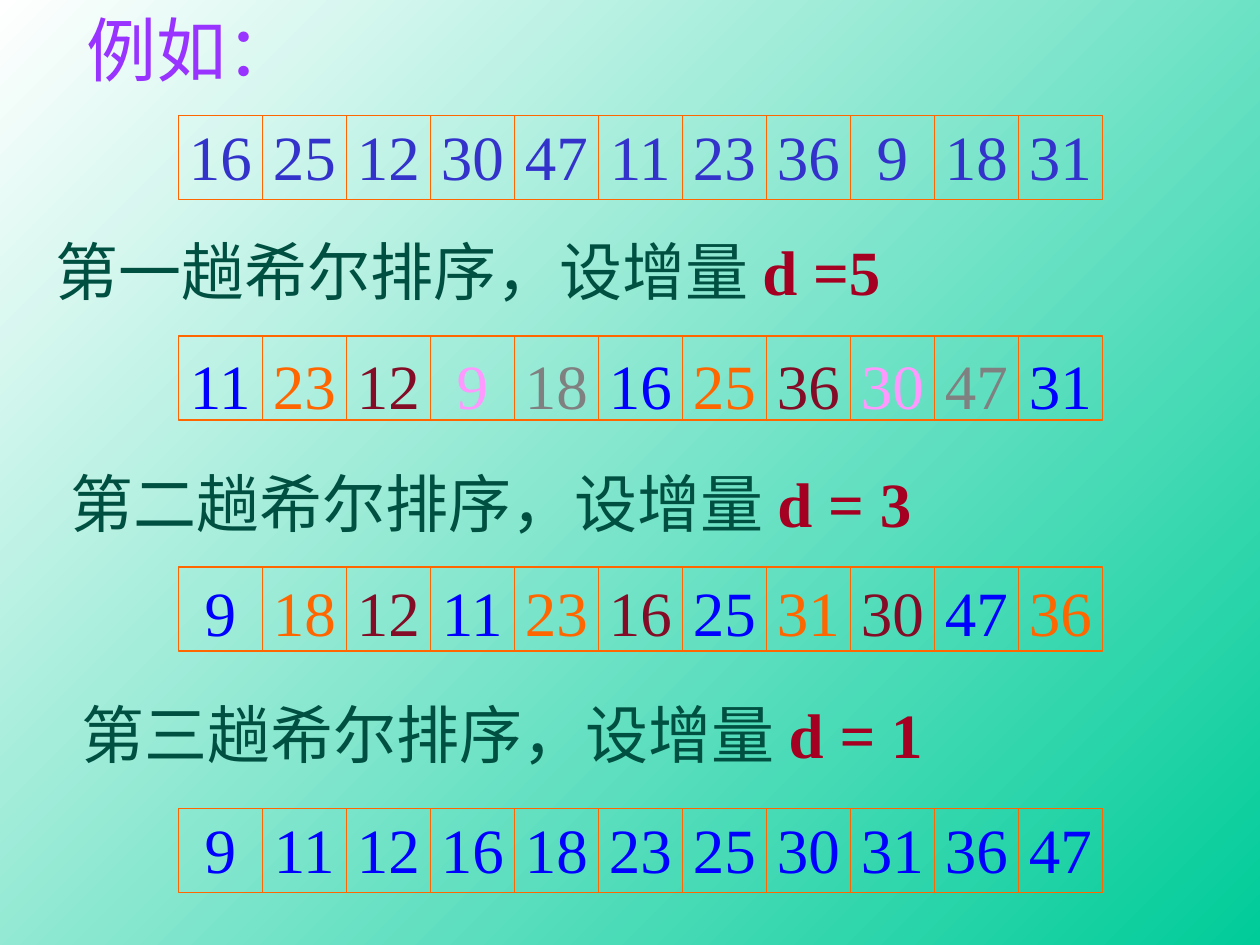
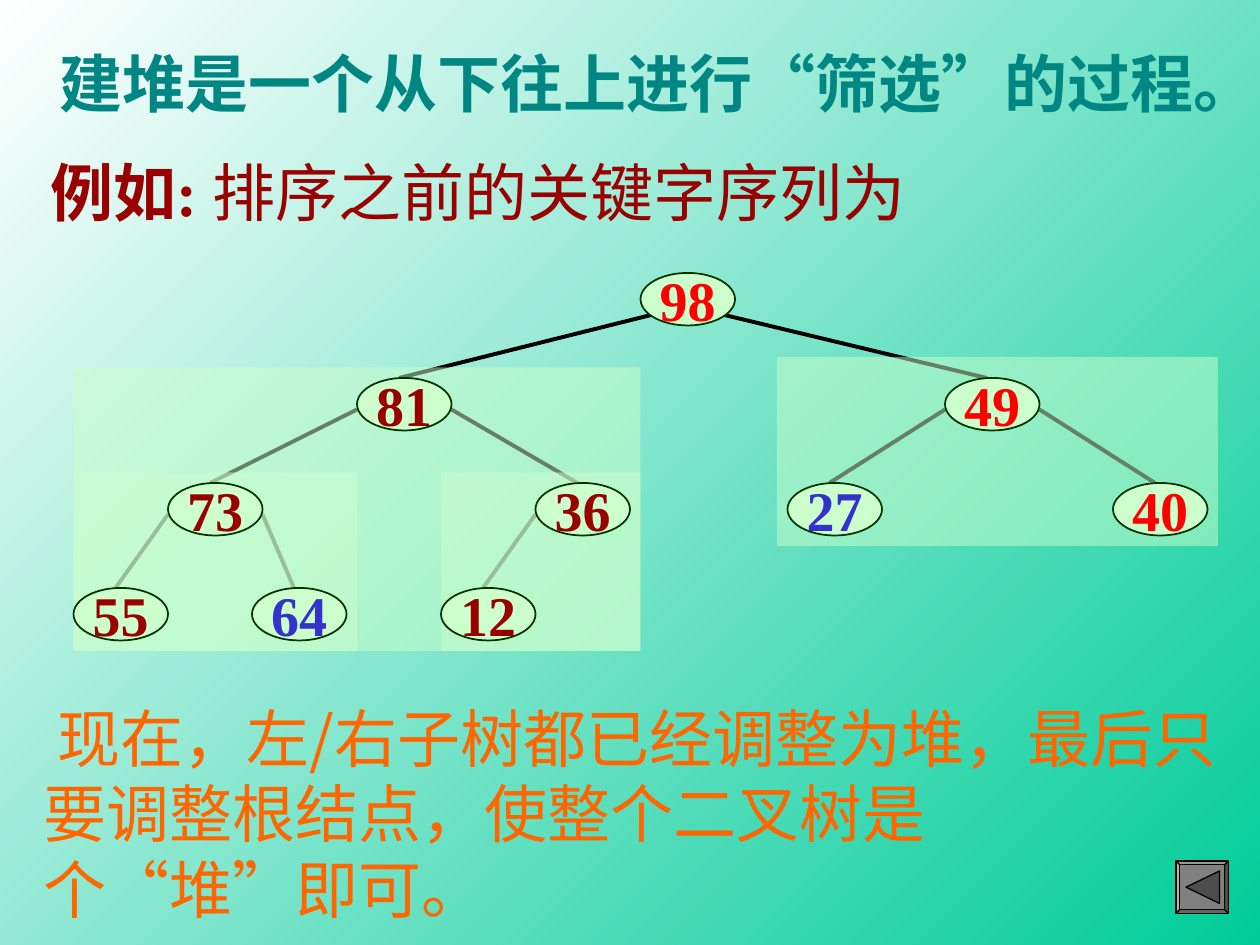
import pptx
import pptx.util
import pptx.dml.color
import pptx.enum.shapes
import pptx.enum.text
import pptx.oxml
import pptx.oxml.ns
import pptx.oxml.xmlchemy

RGBColor = pptx.dml.color.RGBColor
Shape = pptx.enum.shapes.MSO_SHAPE
Anchor = pptx.enum.text.MSO_ANCHOR
Align = pptx.enum.text.PP_ALIGN
Inches = pptx.util.Inches
OxmlElement = pptx.oxml.xmlchemy.OxmlElement
qn = pptx.oxml.ns.qn

WHITE = RGBColor(0xFF, 0xFF, 0xFF)
MINT = RGBColor(0x00, 0xCC, 0x99)
PURPLE = RGBColor(0x99, 0x33, 0xFF)
INDIGO = RGBColor(0x33, 0x33, 0xCC)
BLUE = RGBColor(0x00, 0x00, 0xFF)
ORANGE = RGBColor(0xFF, 0x66, 0x00)
MAROON = RGBColor(0x84, 0x0C, 0x26)
PINK = RGBColor(0xFF, 0x99, 0xFF)
GRAY = RGBColor(0x80, 0x80, 0x80)
DARK_GRAY = RGBColor(0x4D, 0x4D, 0x4D)
PINE = RGBColor(0x00, 0x50, 0x42)
CRIMSON = RGBColor(0xA5, 0x00, 0x21)
TEAL = RGBColor(0x00, 0x87, 0x84)
DARK_RED = RGBColor(0x99, 0x00, 0x00)
RED = RGBColor(0xFF, 0x00, 0x00)
PALE_GREEN = RGBColor(0xCC, 0xFF, 0xCC)
DARK_GREEN = RGBColor(0x00, 0x33, 0x00)
BLACK = RGBColor(0x00, 0x00, 0x00)

LATIN = "Times New Roman"
CHINESE = "Noto Sans CJK SC"
UNIT = 1 / 12

GROUP_COLORS = [BLUE, ORANGE, MAROON, PINK, GRAY]
ROW_LEFT, CELL = 17, 8
ROWS = [
    {"top": 11, "text_top": 0.88, "colors": [INDIGO],
     "keys": [16, 25, 12, 30, 47, 11, 23, 36, 9, 18, 31]},
    {"top": 32, "text_top": 2.7, "colors": GROUP_COLORS,
     "keys": [11, 23, 12, 9, 18, 16, 25, 36, 30, 47, 31]},
    {"top": 54, "text_top": 4.5, "colors": GROUP_COLORS[:3],
     "keys": [9, 18, 12, 11, 23, 16, 25, 31, 30, 47, 36]},
    {"top": 77, "text_top": 6.38, "colors": GROUP_COLORS[:1],
     "keys": [9, 11, 12, 16, 18, 23, 25, 30, 31, 36, 47]},
]
PASSES = [
    ("第一趟希尔排序，设增量 ", "d =5", 0.34, 1.8),
    ("第二趟希尔排序，设增量 ", "d = 3", 0.46, 3.64),
    ("第三趟希尔排序，设增量 ", "d = 1", 0.55, 5.47),
]

NODE_WIDTH, NODE_HEIGHT = 9, 5
NODES = {
    98: (61, 26, RED), 81: (34, 36, DARK_RED), 49: (90, 36, RED),
    73: (16, 46, DARK_RED), 36: (51, 46, DARK_RED),
    27: (75, 46, INDIGO), 40: (106, 46, RED),
    55: (7, 56, DARK_RED), 64: (24, 56, INDIGO), 12: (42, 56, DARK_RED),
}
ROOT = 98
CHILDREN = {98: (81, 49), 81: (73, 36), 49: (27, 40), 73: (55, 64), 36: (12,)}
SUBTREE_PANELS = [(42, 45, 19, 17), (7, 45, 27, 17), (74, 34, 42, 18), (7, 35, 54, 27)]
BACK_BUTTON = (112, 82, 5)


def grid(*values):
    return [Inches(value * UNIT) for value in values]


def add_run(paragraph, text, color, size=36, bold=False, latin=LATIN):
    run = paragraph.add_run()
    run.text = text
    font = run.font
    font.size, font.bold, font.name = pptx.util.Pt(size), bold, latin
    font.color.rgb = color
    east_asian = OxmlElement("a:ea")
    east_asian.set("typeface", CHINESE)
    font._element.find(qn("a:latin")).addnext(east_asian)


def prepare_text(shape, wrap=False, anchor=Anchor.TOP, align=Align.LEFT):
    frame = shape.text_frame
    frame.auto_size = pptx.enum.text.MSO_AUTO_SIZE.NONE
    frame.word_wrap, frame.vertical_anchor = wrap, anchor
    paragraph = frame.paragraphs[0]
    paragraph.alignment = align
    return paragraph


def add_text(slide, left, top, width, height=0.7, wrap=False):
    box = slide.shapes.add_textbox(*map(Inches, (left, top, width, height)))
    return prepare_text(box, wrap)


def add_slide(presentation, title, box, color, size, bold):
    slide = presentation.slides.add_slide(presentation.slide_layouts[5])
    shape = slide.shapes.title
    shape.left, shape.top, shape.width, shape.height = map(Inches, box)
    add_run(prepare_text(shape), title, color, size, bold)
    return slide


def add_line(slide, start, end, color, width):
    line = slide.shapes.add_connector(
        pptx.enum.shapes.MSO_CONNECTOR.STRAIGHT, *grid(*start, *end))
    line.line.color.rgb, line.line.width = color, pptx.util.Pt(width)
    line._element.spPr.append(OxmlElement("a:effectLst"))


def style_shape(shape, fill=None, line=None, width=0.75):
    shape.shadow.inherit = False
    if fill is None:
        shape.fill.background()
    else:
        shape.fill.solid()
        shape.fill.fore_color.rgb = fill
    if line is None:
        shape.line.fill.background()
    else:
        shape.line.color.rgb, shape.line.width = line, pptx.util.Pt(width)
    return shape


def add_shape(slide, kind, box, **style):
    return style_shape(slide.shapes.add_shape(kind, *grid(*box)), **style)


def add_key_row(slide, row):
    top, keys = row["top"], row["keys"]
    width = CELL * len(keys)
    add_shape(slide, Shape.RECTANGLE, (ROW_LEFT, top, width, CELL), line=ORANGE)
    for column in range(1, len(keys)):
        x = ROW_LEFT + CELL * column
        add_line(slide, (x, top), (x, top + CELL), ORANGE, 0.75)
    paragraph = add_text(slide, ROW_LEFT * UNIT - 0.1, row["text_top"],
                         width * UNIT + 0.2, wrap=True)
    stops = OxmlElement("a:tabLst")
    paragraph._p.get_or_add_pPr().append(stops)
    for column, key in enumerate(keys):
        stop = OxmlElement("a:tab")
        stop.set("pos", str(grid(CELL * (column + 0.5))[0]))
        stop.set("algn", "ctr")
        stops.append(stop)
        add_run(paragraph, f"\t{key}", row["colors"][column % len(row["colors"])])


def build_shell_sort(presentation):
    slide = add_slide(presentation, "例如：", (0.59, 0, 1.9, 0.77), PURPLE, 40, False)
    for row in ROWS:
        add_key_row(slide, row)
    for caption, increment, left, top in PASSES:
        paragraph = add_text(slide, left, top, 7.13)
        add_run(paragraph, caption, PINE)
        add_run(paragraph, increment, CRIMSON, bold=True)


def add_edges(slide, parent):
    x, y, _ = NODES[parent]
    inset, drop = (1, 4) if parent == ROOT else (0, 3)
    starts = (x + inset, x + NODE_WIDTH - inset)
    for start, child in zip(starts, CHILDREN[parent]):
        child_x, child_y, _ = NODES[child]
        add_line(slide, (start, y + drop), (child_x + 4, child_y), BLACK, 2.25)


def add_back_button(slide):
    left, top, size = BACK_BUTTON
    button = add_shape(slide, Shape.BEVEL, (left, top, size, size), fill=GRAY, line=BLACK)
    button.adjustments[0] = 0.07
    points = [(left + size * x, top + size * y)
              for x, y in ((0.19, 0.5), (0.83, 0.19), (0.83, 0.81))]
    builder = slide.shapes.build_freeform(*grid(*points[0]), scale=1.0)
    builder.add_line_segments([grid(*point) for point in points[1:]], close=True)
    style_shape(builder.convert_to_shape(), fill=DARK_GRAY, line=BLACK)


def build_heap(presentation):
    slide = add_slide(presentation, "建堆是一个从下往上进行“筛选”的过程。",
                      (0.37, 0.3, 9.7, 0.7), TEAL, 36, True)
    for parent in CHILDREN:
        add_edges(slide, parent)
    paragraph = add_text(slide, 0.3, 1.17, 7.23)
    add_run(paragraph, "例如: ", DARK_RED, bold=True)
    add_run(paragraph, "排序之前的关键字序列为", DARK_RED)
    for panel in SUBTREE_PANELS:
        shape = add_shape(slide, Shape.RECTANGLE, panel, fill=PALE_GREEN)
        alpha = OxmlElement("a:alpha")
        alpha.set("val", "50000")
        shape._element.spPr.find(qn("a:solidFill"))[0].append(alpha)
    for key, (x, y, color) in NODES.items():
        node = add_shape(slide, Shape.OVAL, (x, y, NODE_WIDTH, NODE_HEIGHT),
                         fill=PALE_GREEN, line=DARK_GREEN, width=1)
        add_run(prepare_text(node, anchor=Anchor.MIDDLE, align=Align.CENTER),
                str(key), color, 32, True)
    paragraph = add_text(slide, 0.25, 5.5, 9.6, 1.9, wrap=True)
    paragraph._p.get_or_add_pPr().set("indent", str(Inches(0.11)))
    add_run(paragraph, "现在，左/右子树都已经调整为堆，最后只要调整根结点，使整个二叉树是个“堆”即可。",
            ORANGE, latin=CHINESE)
    add_back_button(slide)


def main():
    presentation = pptx.Presentation()
    presentation.slide_width, presentation.slide_height = Inches(10), Inches(7.5)
    fill = presentation.slide_master.background.fill
    fill.gradient()
    fill.gradient_angle = 315
    for stop, color in zip(fill.gradient_stops, (WHITE, MINT)):
        stop.color.rgb = color
    build_shell_sort(presentation)
    build_heap(presentation)
    presentation.save("out.pptx")


if __name__ == "__main__":
    main()
